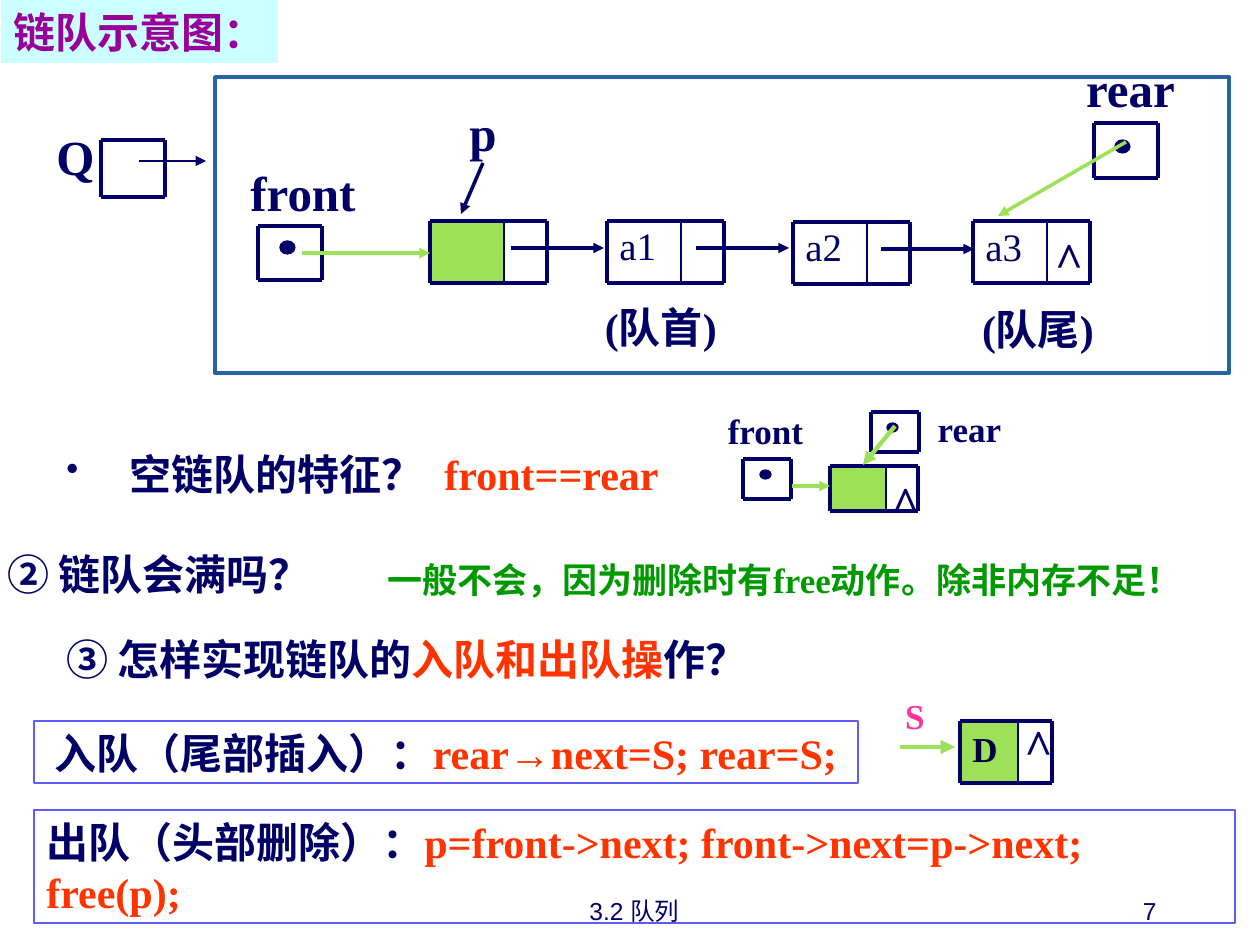
from pptx import Presentation
from pptx.dml.color import RGBColor
from pptx.enum.shapes import MSO_CONNECTOR, MSO_SHAPE
from pptx.enum.text import MSO_ANCHOR, PP_ALIGN
from pptx.oxml.ns import qn
from pptx.util import Pt
from lxml.etree import SubElement

NAVY = RGBColor(0x00, 0x00, 0x66)
DARK = RGBColor(0x00, 0x00, 0x44)
LIME = RGBColor(0x9C, 0xE1, 0x57)
BLUE = RGBColor(0x26, 0x63, 0xA0)
EDGE = RGBColor(0x5C, 0x5C, 0xFF)
RED = RGBColor(0xFF, 0x33, 0x00)
GREEN = RGBColor(0x00, 0x99, 0x00)
PINK = RGBColor(0xFF, 0x33, 0x99)
PURPLE = RGBColor(0x99, 0x00, 0x99)
CYAN = RGBColor(0xCC, 0xFF, 0xFF)

SCALE = 914400 / 126
ROMAN = "Times New Roman"
TOP, MID, LOW = MSO_ANCHOR.TOP, MSO_ANCHOR.MIDDLE, MSO_ANCHOR.BOTTOM
LEFT, CENTER, RIGHT = PP_ALIGN.LEFT, PP_ALIGN.CENTER, PP_ALIGN.RIGHT

deck = Presentation()
deck.slide_width, deck.slide_height = round(1260 * SCALE), round(945 * SCALE)
slide = deck.slides.add_slide(deck.slide_layouts[6])
shapes = slide.shapes


def draw_line(ends, color=NAVY, width=2.24, arrow=False):
    line = shapes.add_connector(MSO_CONNECTOR.STRAIGHT, *[round(v * SCALE) for v in ends])
    line.line.color.rgb = color
    line.line.width = Pt(width)
    if arrow:
        SubElement(line.line._get_or_add_ln(), qn("a:tailEnd"), type="triangle")
    SubElement(line._element.spPr, qn("a:effectLst"))


def draw_shape(kind, area, fill=None, edge=None, width=0.74):
    shape = shapes.add_shape(kind, *[round(v * SCALE) for v in area])
    shape.shadow.inherit = False
    if fill is None:
        shape.fill.background()
    else:
        shape.fill.solid()
        shape.fill.fore_color.rgb = fill
    if edge is None:
        shape.line.fill.background()
    else:
        shape.line.color.rgb = edge
        shape.line.width = Pt(width)
    return shape


draw_shape(MSO_SHAPE.RECTANGLE, (215, 77, 1014, 296), None, BLUE, 2.01)

nodes = [
    (430, 221, 117, 62, 74, LIME),
    (607, 221, 117, 62, 74, None),
    (793, 222, 117, 62, 74, None),
    (973, 221, 117, 62, 74, None),
    (830, 466, 88, 45, 56, LIME),
    (960, 721, 92, 62, 58, LIME),
]
boxes = [
    (101, 140, 64, 57),
    (258, 226, 64, 54),
    (1094, 123, 64, 55),
    (743, 459, 48, 40),
    (871, 412, 48, 40),
]
for x, y, w, h, split, fill in nodes:
    if fill:
        draw_shape(MSO_SHAPE.RECTANGLE, (x, y, split, h), fill)
    draw_line((x + split, y + 2, x + split, y + h + 2), width=0.99)
    boxes.append((x, y, w, h))

for x, y, w, h in boxes:
    for edge in (0, h):
        draw_line((x, y + edge, x + w, y + edge))
    for edge in (0, w):
        draw_line((x + edge, y, x + edge, y + h))

arrows = [
    ((139, 161, 206, 161), NAVY, 0.74),
    ((302, 253, 430, 253), LIME, 2.01),
    ((511, 248, 604, 248), NAVY, 2.01),
    ((696, 248, 789, 248), NAVY, 2.01),
    ((881, 249, 974, 249), NAVY, 2.01),
    ((1126, 142, 998, 216), LIME, 2.01),
    ((483, 163, 461, 214), NAVY, 2.01),
    ((792, 486, 830, 486), LIME, 2.01),
    ((895, 426, 863, 465), LIME, 2.49),
    ((900, 747, 955, 747), LIME, 2.75),
]
for dot in [(280, 241, 15, 13), (1115, 140, 15, 13), (760, 470, 11, 9), (887, 423, 11, 9)]:
    draw_shape(MSO_SHAPE.OVAL, dot, NAVY, NAVY)
for ends, color, width in arrows:
    draw_line(ends, color, width, True)

big = {"size": Pt(28), "name": ROMAN, "bold": True}
head = {**big, "size": Pt(24)}
small = {**big, "size": Pt(20)}
cell = {"size": Pt(22.2), "name": ROMAN, "bold": False}
foot = {"size": Pt(14), "name": "Arial", "bold": False}
title = {**head, "name": "Montserrat"}

texts = [
    ((54, 442, 387, 63), [("空链队的特征？", NAVY)], head, LEFT, TOP),
    ((44, 120, 49, 72), [("Q", NAVY)], big, CENTER, MID),
    ((959, 297, 158, 63), [("(队尾)", NAVY)], head, CENTER, MID),
    ((582, 295, 158, 63), [("(队首)", NAVY)], head, CENTER, MID),
    ((227, 156, 152, 72), [("front", NAVY)], big, CENTER, MID),
    ((607, 221, 74, 63), [("a1", NAVY)], cell, LEFT, TOP),
    ((793, 222, 74, 63), [("a2", NAVY)], cell, LEFT, TOP),
    ((973, 222, 74, 63), [("a3", NAVY)], cell, LEFT, TOP),
    ((1037, 222, 64, 72), [("^", NAVY)], big, CENTER, MID),
    ((1070, 52, 121, 72), [("rear", NAVY)], big, CENTER, MID),
    ((456, 96, 54, 72), [("p", NAVY)], big, CENTER, MID),
    ((54, 627, 809, 63), [("③ 怎样实现链队的", NAVY), ("入队和出队操", RED), ("作？", NAVY)],
     head, LEFT, TOP),
    ((-5, 542, 450, 63), [("② 链队会满吗？", NAVY)], head, LEFT, TOP),
    ((709, 403, 113, 55), [("front", NAVY)], small, CENTER, MID),
    ((925, 401, 89, 55), [("rear", NAVY)], small, CENTER, MID),
    ((879, 466, 53, 72), [("^", NAVY)], big, LEFT, TOP),
    ((1012, 709, 53, 72), [("^", NAVY)], big, LEFT, TOP),
    ((432, 442, 268, 63), [("front==rear", RED)], head, LEFT, TOP),
    ((375, 552, 837, 55), [("一般不会，因为删除时有free动作。除非内存不足！", GREEN)],
     small, LEFT, TOP),
    ((34, 810, 1201, 113), [("出队（头部删除）：", NAVY),
                            ("p=front->next; front->next=p->next; free(p);", RED)],
     head, LEFT, TOP),
    ((878, 688, 74, 55), [("S", PINK)], small, CENTER, MID),
    ((960, 721, 58, 62), [("D", DARK)], small, LEFT, TOP),
    ((1, 0, 277, 63), [("链队示意图：", PURPLE)], title, LEFT, TOP),
    ((907, 869, 262, 63), [("7", NAVY)], foot, RIGHT, LOW),
    ((435, 869, 399, 63), [("3.2 队列", NAVY)], foot, CENTER, LOW),
    ((34, 721, 824, 62), [("入队（尾部插入）：", NAVY), ("rear", RED), ("→", RED),
                          ("next=S; rear=S;", RED)], head, CENTER, TOP),
]
frames = {"出队": (None, EDGE), "入队": (None, EDGE), "链队": (CYAN, None)}
for area, runs, style, align, anchor in texts:
    start = runs[0][0][:2]
    if start in frames:
        box = draw_shape(MSO_SHAPE.RECTANGLE, area, *frames[start])
    else:
        box = shapes.add_textbox(*[round(v * SCALE) for v in area])
    frame = box.text_frame
    frame.word_wrap = start not in ("链队", "(队")
    frame.vertical_anchor = anchor
    para = frame.paragraphs[0]
    para.alignment = align
    if style is cell:
        para.line_spacing = 0.9
    if start == "空链":
        props = para._p.get_or_add_pPr()
        props.set("marL", "457200")
        props.set("indent", "-457200")
        SubElement(props, qn("a:buSzPct"), val="85000")
        SubElement(props, qn("a:buChar"), char="•")
    for text, color in runs:
        run = para.add_run()
        run.text = text
        for key, val in style.items():
            setattr(run.font, key, val)
        if text == "→":
            run.font.name = "Arial"
        run.font.color.rgb = color

deck.save("out.pptx")
